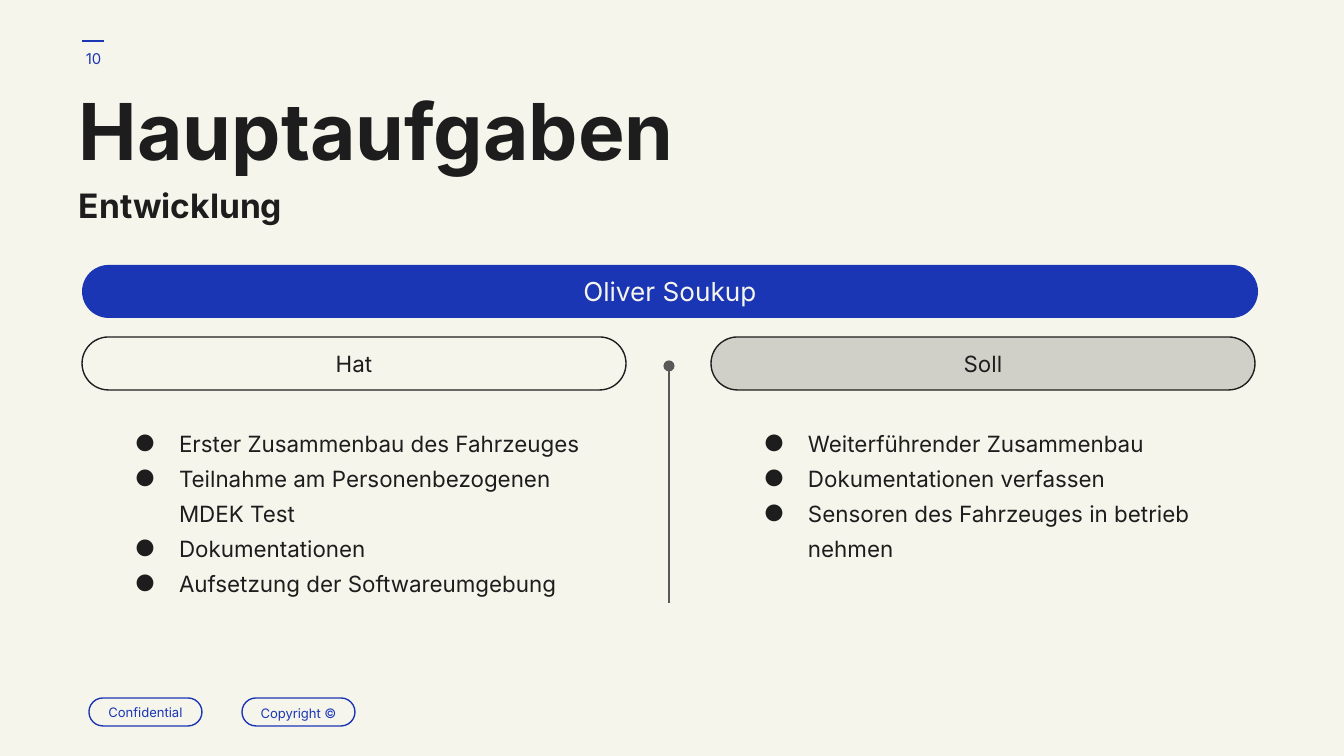
from lxml.etree import SubElement
from pptx import Presentation
from pptx.dml.color import RGBColor
from pptx.enum.shapes import MSO_CONNECTOR, MSO_SHAPE
from pptx.enum.text import MSO_ANCHOR, PP_ALIGN
from pptx.oxml.ns import qn
from pptx.util import Pt

EMU_PER_PX = 914400 / 134.4
FONT = "Inter"
COLORS = {
    "background": "F6F5EC",
    "blue": "1A36B4",
    "ink": "1D1D1D",
    "gray": "D1D0C8",
    "divider": "595959",
}
INSET = 13
BULLET_INDENT = 67
BULLET_HANGING = 44


def px(length):
    return round(length * EMU_PER_PX)


def color(name):
    return RGBColor.from_string(COLORS[name])


def write_text(shape, lines, size, color_name, bold=False, bullets=False,
               anchor=MSO_ANCHOR.TOP, **paragraph_format):
    frame = shape.text_frame
    frame_format = {"word_wrap": True, "vertical_anchor": anchor}
    for side in ("left", "top", "right", "bottom"):
        frame_format[f"margin_{side}"] = px(INSET)
    for name, value in frame_format.items():
        setattr(frame, name, value)

    font_format = {"name": FONT, "size": Pt(size), "bold": bold}
    for index, line in enumerate(lines):
        paragraph = frame.add_paragraph() if index else frame.paragraphs[0]
        for name, value in paragraph_format.items():
            setattr(paragraph, name, value)
        if bullets:
            add_bullet(paragraph, color_name)
        run = paragraph.add_run()
        run.text = line
        for name, value in font_format.items():
            setattr(run.font, name, value)
        run.font.color.rgb = color(color_name)


def add_bullet(paragraph, color_name):
    properties = paragraph._p.get_or_add_pPr()
    properties.set("marL", str(px(BULLET_INDENT)))
    properties.set("indent", str(-px(BULLET_HANGING)))
    bullet_color = SubElement(properties, qn("a:buClr"))
    SubElement(bullet_color, qn("a:srgbClr"), val=COLORS[color_name])
    SubElement(properties, qn("a:buFont"), typeface=FONT)
    SubElement(properties, qn("a:buChar"), char="●")


def add_text(slide, box, lines, size, color_name, **options):
    text_box = slide.shapes.add_textbox(*map(px, box))
    write_text(text_box, lines, size, color_name, **options)


def add_pill(slide, box, label, size, text_color, fill=None, line=None, **options):
    pill = slide.shapes.add_shape(MSO_SHAPE.ROUNDED_RECTANGLE, *map(px, box))
    pill.adjustments[0] = 0.5
    pill.shadow.inherit = False
    if fill:
        pill.fill.solid()
        pill.fill.fore_color.rgb = color(fill)
    else:
        pill.fill.background()
    if line:
        pill.line.color.rgb = color(line)
        pill.line.width = Pt(0.75)
    else:
        pill.line.fill.background()
    write_text(pill, [label], size, text_color, anchor=MSO_ANCHOR.MIDDLE,
               alignment=PP_ALIGN.CENTER, **options)


def add_line(slide, start, end, color_name, head=None):
    line = slide.shapes.add_connector(MSO_CONNECTOR.STRAIGHT, *map(px, start + end))
    line.line.color.rgb = color(color_name)
    line.line.width = Pt(0.75)
    if head:
        SubElement(line.line._get_or_add_ln(), qn("a:headEnd"), type=head)
    SubElement(line._element.spPr, qn("a:effectLst"))


def add_page_number(slide, left, top, number):
    add_line(slide, (left + 20, top + 11), (left + 42, top + 11), "blue")
    add_text(slide, (left, top, 63, 58), [number], 8, "blue",
             anchor=MSO_ANCHOR.MIDDLE, alignment=PP_ALIGN.CENTER)


def add_heading(slide, left, top, title, subtitle):
    style = {"bold": True, "line_spacing": 0.8}
    add_text(slide, (left, top, 716, 105), [title], 42, "ink", **style)
    add_text(slide, (left, top + 93, 727, 52), [subtitle], 18, "ink", **style)


def add_task_column(slide, left, top, label, tasks, fill=None):
    add_pill(slide, (left, top, 544, 53), label, 12, "ink", fill, "ink")
    add_text(slide, (left + 17, top + 72, 511, 204), tasks, 12, "ink",
             bullets=True, line_spacing=1.3)


def add_footer(slide, left, top):
    add_pill(slide, (left, top, 113, 28), "Confidential", 7, "blue", line="blue")
    add_pill(slide, (left + 153, top, 113, 28), "Copyright ©", 7, "blue",
             line="blue", line_spacing=1.15)


def main():
    presentation = Presentation()
    presentation.slide_width = px(1344)
    presentation.slide_height = px(756)
    slide = presentation.slides.add_slide(presentation.slide_layouts[6])
    slide.background.fill.solid()
    slide.background.fill.fore_color.rgb = color("background")

    add_page_number(slide, 62, 30, "10")
    add_heading(slide, 66, 87, "Hauptaufgaben", "Entwicklung")
    add_pill(slide, (82, 265, 1176, 53), "Oliver Soukup", 14, "background", "blue")
    add_task_column(slide, 82, 337, "Hat", [
        "Erster Zusammenbau des Fahrzeuges",
        "Teilnahme am Personenbezogenen MDEK Test",
        "Dokumentationen",
        "Aufsetzung der Softwareumgebung",
    ])
    add_line(slide, (669, 366), (669, 603), "divider", head="oval")
    add_task_column(slide, 711, 337, "Soll", [
        "Weiterführender Zusammenbau",
        "Dokumentationen verfassen",
        "Sensoren des Fahrzeuges in betrieb nehmen",
    ], fill="gray")
    add_footer(slide, 89, 698)
    presentation.save("out.pptx")


if __name__ == "__main__":
    main()
